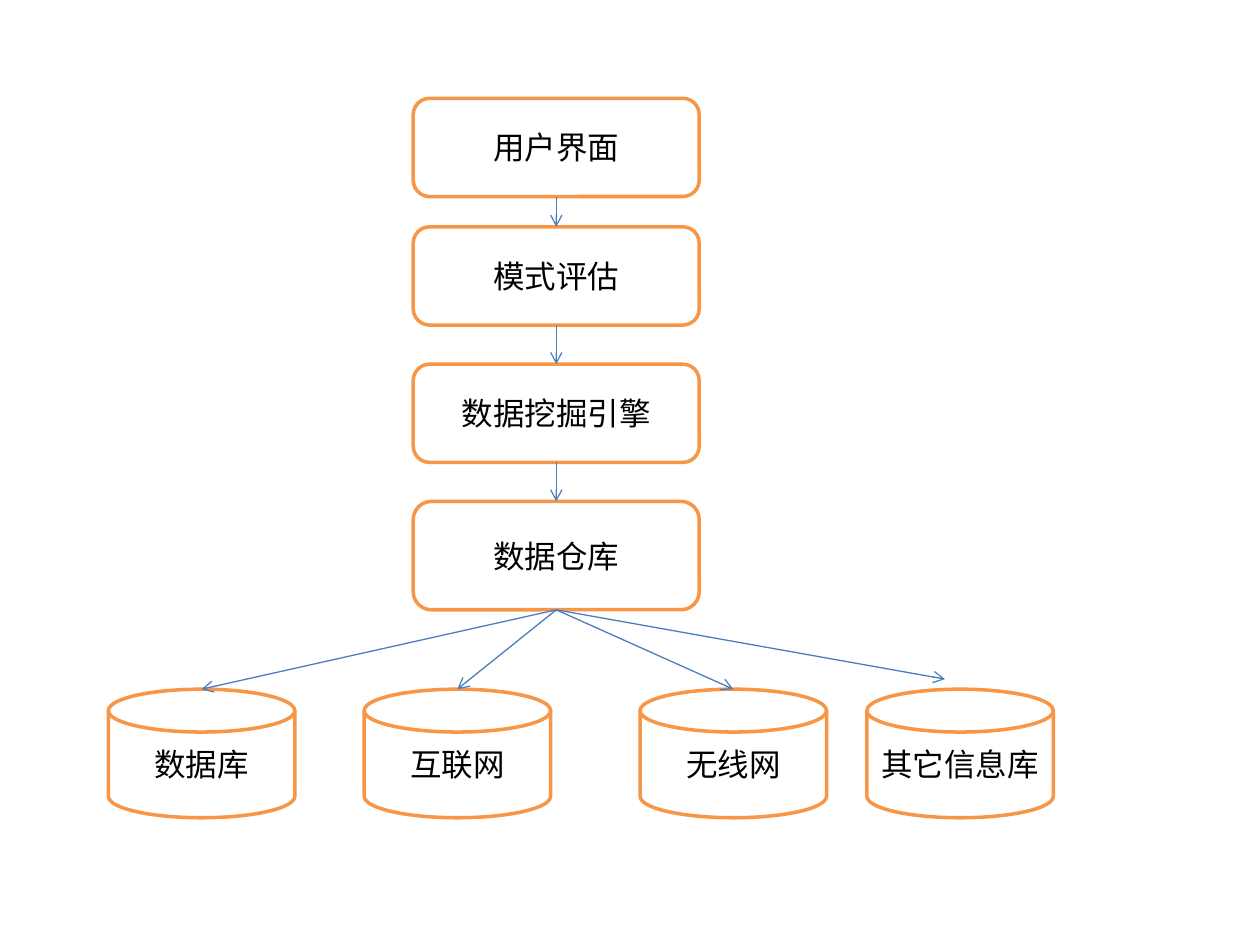
from lxml.etree import SubElement
from pptx import Presentation
from pptx.dml.color import RGBColor
from pptx.enum.shapes import MSO_CONNECTOR as Link, MSO_SHAPE as Shape
from pptx.enum.text import MSO_ANCHOR as Anchor, PP_ALIGN as Align
from pptx.oxml.ns import qn
from pptx.util import Inches, Pt

WHITE, ORANGE, BLUE, BLACK = "FFFFFF", "F79646", "4B7EBC", "000000"
LAYERS = [
    ("用户界面", 0.78, 0.78),
    ("模式评估", 1.8, 0.78),
    ("数据挖掘引擎", 2.89, 0.78),
    ("数据仓库", 3.98, 0.86),
]
SOURCES = [("数据库", 0.86), ("互联网", 2.89), ("无线网", 5.08), ("其它信息库", 6.88)]


def color(value):
    return RGBColor.from_string(value)


def add_node(page, kind, label, left, top, width, height):
    node = page.shapes.add_shape(
        kind, Inches(left), Inches(top), Inches(width), Inches(height)
    )
    node.shadow.inherit = False
    node.fill.solid()
    node.fill.fore_color.rgb = color(WHITE)
    node.line.color.rgb = color(ORANGE)
    node.line.width = Pt(2)
    frame = node.text_frame
    frame.text = label
    frame.word_wrap = True
    frame.vertical_anchor = Anchor.MIDDLE
    para = frame.paragraphs[0]
    para.alignment = Align.CENTER
    font = para.runs[0].font
    font.name = "Calibri"
    font.size = Pt(18)
    font.color.rgb = color(BLACK)
    return node


def add_arrow(page, start, x, y):
    arrow = page.shapes.add_connector(Link.STRAIGHT, 0, 0, x, y)
    arrow.begin_connect(start, 2)
    arrow.end_x, arrow.end_y = x, y
    arrow.line.color.rgb = color(BLUE)
    arrow.line.width = Pt(0.75)
    SubElement(arrow.line._get_or_add_ln(), qn("a:tailEnd"), type="arrow")
    SubElement(arrow._element.spPr, qn("a:effectLst"))
    return arrow


def add_layers(page, left, width):
    boxes = [
        add_node(page, Shape.ROUNDED_RECTANGLE, label, left, top, width, height)
        for label, top, height in LAYERS
    ]
    for upper, lower in zip(boxes, boxes[1:]):
        arrow = add_arrow(page, upper, lower.left + lower.width // 2, lower.top)
        arrow.end_connect(lower, 0)
    return boxes[-1]


def add_sources(page, warehouse, top, width, height):
    disks = [
        add_node(page, Shape.FLOWCHART_MAGNETIC_DISK, label, left, top, width, height)
        for label, left in SOURCES
    ]
    for disk in disks[:-1]:
        add_arrow(page, warehouse, disk.left + disk.width // 2, disk.top)
    add_arrow(page, warehouse, Inches(7.5), Inches(5.39))


def main():
    deck = Presentation()
    deck.slide_width, deck.slide_height = Inches(10), Inches(7.5)
    page = deck.slides.add_slide(deck.slide_layouts[6])
    page.background.fill.solid()
    page.background.fill.fore_color.rgb = color(WHITE)
    warehouse = add_layers(page, 3.28, 2.27)
    add_sources(page, warehouse, 5.47, 1.48, 1.02)
    deck.save("out.pptx")


if __name__ == "__main__":
    main()
